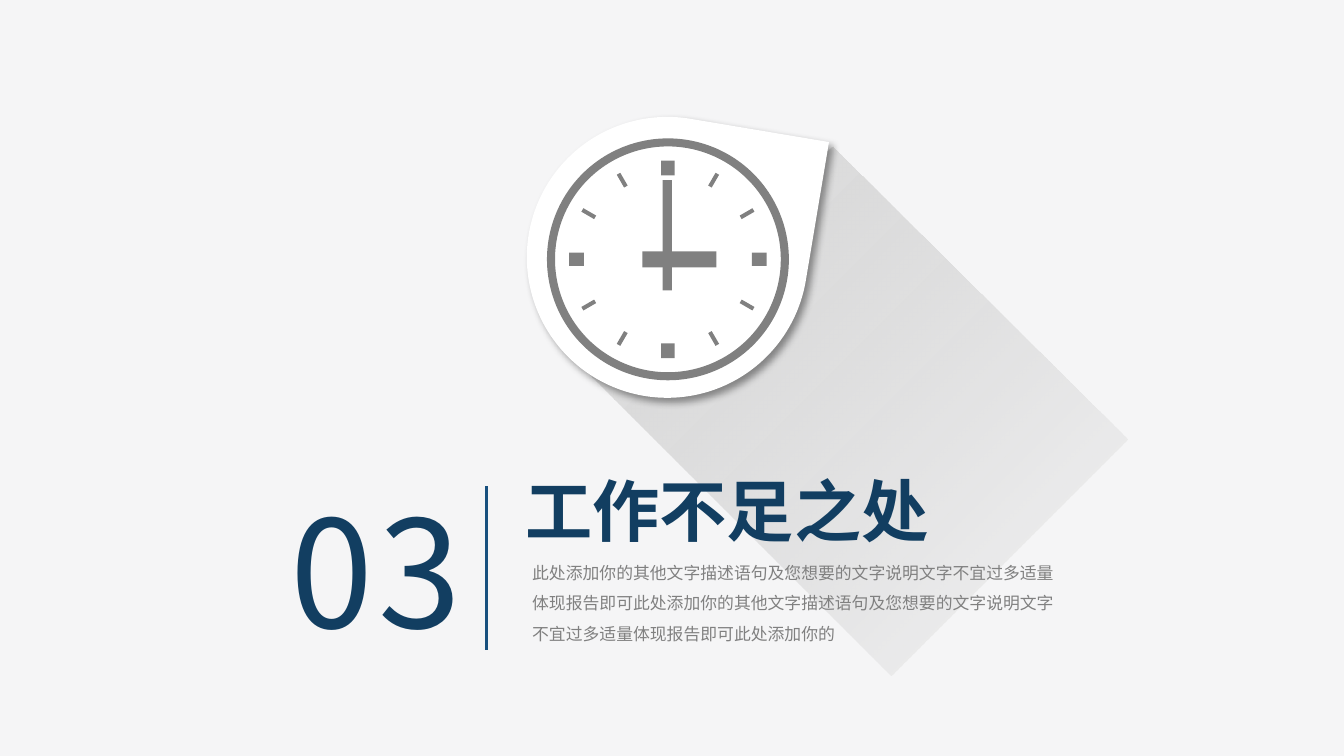
from dataclasses import dataclass
from math import cos, radians, sin

from lxml.etree import SubElement
from pptx import Presentation
from pptx.dml.color import RGBColor
from pptx.enum.shapes import MSO_CONNECTOR as Connector, MSO_SHAPE as Preset
from pptx.enum.text import MSO_ANCHOR as Anchor, MSO_AUTO_SIZE as AutoSize
from pptx.oxml import parse_xml
from pptx.oxml.ns import nsdecls, qn
from pptx.shapes.autoshape import Shape
from pptx.slide import Slide
from pptx.util import Inches, Pt

BACKGROUND = RGBColor(0xF5, 0xF5, 0xF6)
WHITE = RGBColor(0xFF, 0xFF, 0xFF)
GRAY = RGBColor(0x80, 0x80, 0x80)
NAVY = RGBColor(0x12, 0x3E, 0x61)
BLUE = RGBColor(0x18, 0x50, 0x7E)
FONT = "Noto Sans CJK SC"
CENTER_X, CENTER_Y = 4.97, 1.93
MARK_RADIUS = 0.68
TICK_LENGTH, TICK_WIDTH = 0.11, 0.03
RIM_SIZE, RIM_WIDTH = 1.8, 0.06
LONG_SHADOW = [(5.07, 1.27), (7.55, 1.55), (7.56, 4.64), (5.07, 4.64)]


@dataclass(frozen=True)
class Box:
    left: float
    top: float
    width: float
    height: float

    def lengths(self) -> list[int]:
        return [Inches(v) for v in (self.left, self.top, self.width, self.height)]


@dataclass(frozen=True)
class Caption:
    text: str
    box: Box
    size: float
    color: RGBColor
    bold: bool = False
    spacing: float = 1.0
    tracking: int = 0
    hugging: bool = False


CAPTIONS = [
    Caption("03", Box(2.09, 3.6, 1.56, 1.26), 80, NAVY, tracking=300),
    Caption("此处添加你的其他文字描述语句及您想要的文字说明文字不宜过多适量"
            "体现报告即可此处添加你的其他文字描述语句及您想要的文字说明文字"
            "不宜过多适量体现报告即可此处添加你的",
            Box(3.89, 4.04, 4.07, 0.82), 9, GRAY, spacing=1.5),
    Caption("工作不足之处", Box(3.81, 3.44, 3.24, 0.71), 36, NAVY, bold=True, hugging=True),
]
HANDS = [Box(4.93, 1.34, 0.07, 0.82), Box(4.78, 1.87, 0.55, 0.12)]


def paint(shape: Shape, color: RGBColor) -> Shape:
    shape.shadow.inherit = False
    shape.fill.solid()
    shape.fill.fore_color.rgb = color
    shape.line.fill.background()
    return shape


def add_preset(slide: Slide, preset: Preset, box: Box, color: RGBColor) -> Shape:
    return paint(slide.shapes.add_shape(preset, *box.lengths()), color)


def add_polygon(slide: Slide, points: list[tuple[float, float]], color: RGBColor) -> Shape:
    start, *rest = [(Inches(x), Inches(y)) for x, y in points]
    builder = slide.shapes.build_freeform(*start, scale=1.0)
    builder.add_line_segments(rest, close=True)
    return paint(builder.convert_to_shape(), color)


def add_long_shadow(slide: Slide) -> None:
    shadow = add_polygon(slide, LONG_SHADOW, GRAY)
    shadow.rotation = 315
    properties = shadow._element.spPr
    gradient = parse_xml(
        f'<a:gradFill {nsdecls("a")} rotWithShape="1"><a:gsLst>'
        '<a:gs pos="0"><a:srgbClr val="D9D9D9"/></a:gs>'
        '<a:gs pos="100000"><a:srgbClr val="BFBFBF"><a:alpha val="0"/></a:srgbClr></a:gs>'
        '</a:gsLst><a:lin ang="5400000" scaled="0"/></a:gradFill>')
    properties.replace(properties.find(qn("a:solidFill")), gradient)


def add_badge(slide: Slide) -> None:
    badge = add_preset(slide, Preset.TEAR, Box(3.92, 0.87, 2.09, 2.09), WHITE)
    badge.rotation = 9.5
    effects = badge._element.spPr.find(qn("a:effectLst"))
    effects.append(parse_xml(
        f'<a:outerShdw {nsdecls("a")} blurRad="{Pt(4)}" dist="{Pt(3)}" dir="2700000" '
        'algn="tl" rotWithShape="0"><a:srgbClr val="000000"><a:alpha val="40000"/>'
        '</a:srgbClr></a:outerShdw>'))


def add_mark(slide: Slide, hour: int) -> None:
    angle = radians(hour * 30)
    out_x, out_y = sin(angle), -cos(angle)
    x, y = CENTER_X + MARK_RADIUS * out_x, CENTER_Y + MARK_RADIUS * out_y
    if hour % 3 == 0:
        width, height = (0.1, 0.11) if hour % 6 == 0 else (0.11, 0.1)
        box = Box(x - width / 2, y - height / 2, width, height)
        add_preset(slide, Preset.RECTANGLE, box, GRAY)
        return
    along, across = TICK_LENGTH / 2, TICK_WIDTH / 2
    corners = [(along, across), (along, -across), (-along, -across), (-along, across)]
    add_polygon(slide, [(x + u * out_x - v * out_y, y + u * out_y + v * out_x)
                        for u, v in corners], GRAY)


def add_clock(slide: Slide) -> None:
    rim = add_preset(slide, Preset.DONUT, Box(4.07, 1.03, RIM_SIZE, RIM_SIZE), GRAY)
    rim.adjustments[0] = RIM_WIDTH / RIM_SIZE
    for hour in range(12):
        add_mark(slide, hour)
    for hand in HANDS:
        add_preset(slide, Preset.RECTANGLE, hand, GRAY)


def add_caption(slide: Slide, caption: Caption) -> None:
    frame = slide.shapes.add_textbox(*caption.box.lengths()).text_frame
    frame.word_wrap = not caption.hugging
    if caption.hugging:
        frame.auto_size = AutoSize.SHAPE_TO_FIT_TEXT
    else:
        frame.vertical_anchor = Anchor.MIDDLE
        frame.margin_left = frame.margin_right = Inches(0.07)
        frame.margin_top = frame.margin_bottom = Inches(0.04)
    paragraph = frame.paragraphs[0]
    run = paragraph.add_run()
    run.text = caption.text
    paragraph.line_spacing = caption.spacing
    font = paragraph.font
    font.name, font.size, font.bold = FONT, Pt(caption.size), caption.bold
    font.color.rgb = caption.color
    properties = run._r.get_or_add_rPr()
    SubElement(properties, qn("a:ea")).set("typeface", FONT)
    if caption.tracking:
        properties.set("spc", str(caption.tracking))


def add_divider(slide: Slide) -> None:
    divider = slide.shapes.add_connector(
        Connector.STRAIGHT, Inches(3.62), Inches(3.62), Inches(3.62), Inches(4.84))
    divider.line.color.rgb = BLUE
    divider.line.width = Pt(1.5)
    SubElement(divider._element.spPr, qn("a:effectLst"))


def main() -> None:
    """Build the section slide with its clock badge and heading."""
    deck = Presentation()
    deck.slide_width = Inches(10)
    deck.slide_height = Inches(10 * 9 / 16)
    slide = deck.slides.add_slide(deck.slide_layouts[6])
    slide.background.fill.solid()
    slide.background.fill.fore_color.rgb = BACKGROUND
    add_long_shadow(slide)
    add_badge(slide)
    add_clock(slide)
    for caption in CAPTIONS:
        add_caption(slide, caption)
    add_divider(slide)
    deck.save("out.pptx")


if __name__ == "__main__":
    main()
